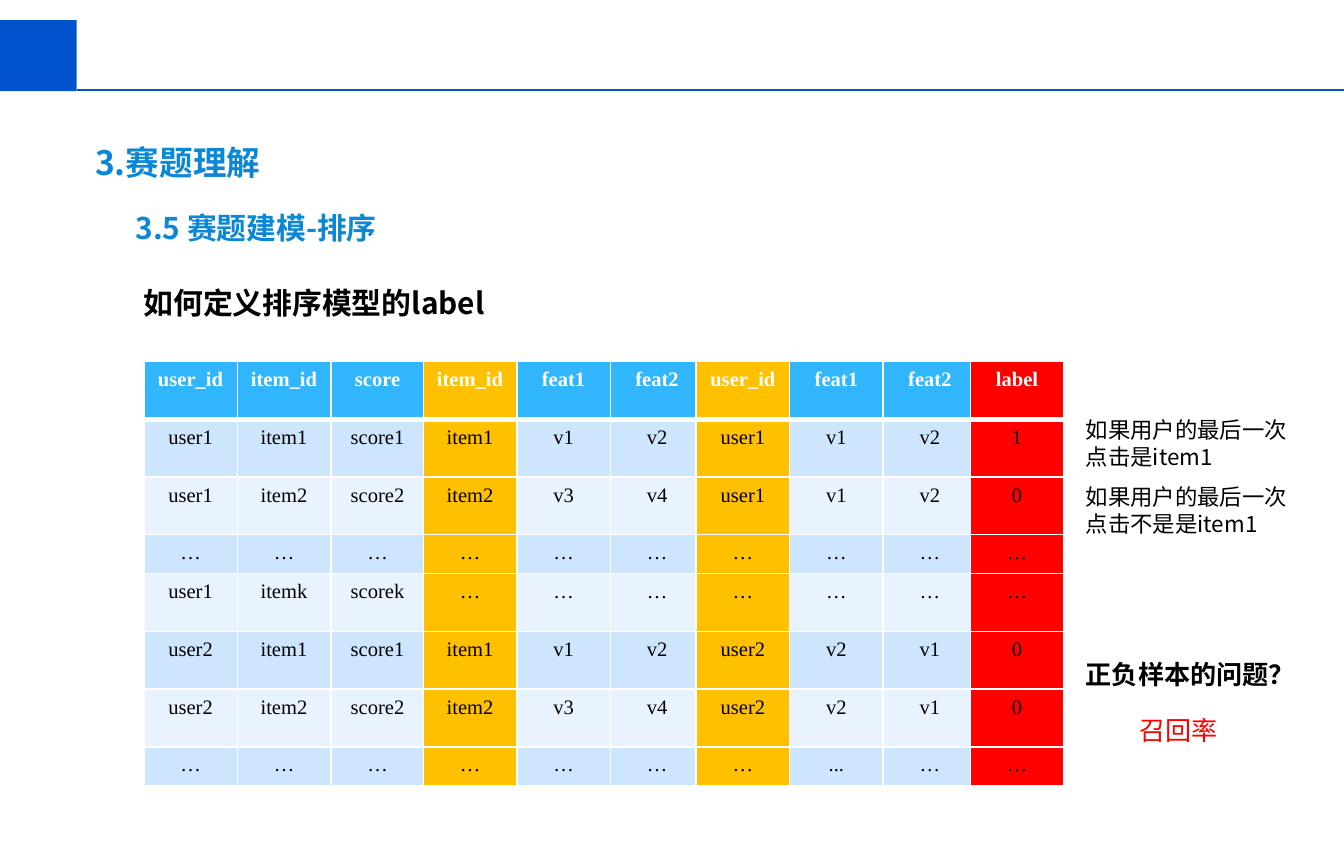
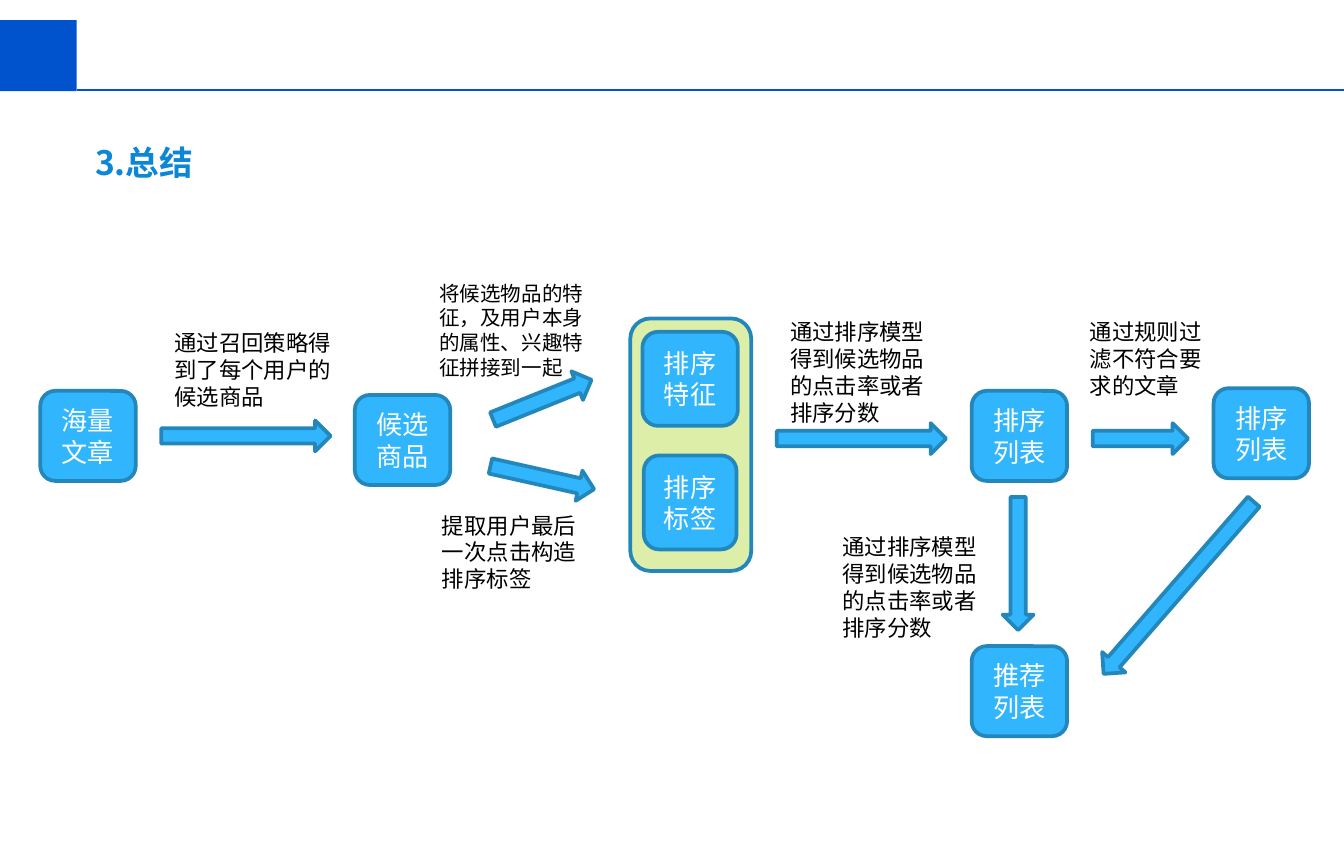
from typing import NamedTuple

from lxml import etree
from pptx import Presentation
from pptx.dml.color import RGBColor
from pptx.enum import shapes, text
from pptx.oxml.ns import qn
from pptx.util import Inches, Pt

# Slide grid: 100 columns by 62.6 rows of square units
COLS, ROWS = 100, 62.6
UNIT = Inches(10) / COLS
SANS, SERIF = "Noto Sans CJK SC", "Times New Roman"
HUES = {
    "band": "0053CC", "title": "0B87D6", "sky": "31B6FD", "edge": "2487BB",
    "lime": "DCEEA7", "amber": "FFC000", "red": "FF0000", "black": "000000",
    "white": "FFFFFF", "odd": "CEE5FE", "even": "E8F3FF",
}
RECT = shapes.MSO_SHAPE.RECTANGLE
ROUND = shapes.MSO_SHAPE.ROUNDED_RECTANGLE
ARROW = shapes.MSO_SHAPE.RIGHT_ARROW


class Box(NamedTuple):
    col: float
    row: float
    wide: float
    high: float


class Note(NamedTuple):
    words: str
    box: Box
    size: float = 12
    hue: str = "black"
    bold: bool = False


class Node(NamedTuple):
    words: str
    col: float
    row: float
    wide: float = 7.1
    high: float = 6.7


class Arrow(NamedTuple):
    col: float
    row: float
    wide: float
    turn: float = 0


def grid(*units: float) -> list[int]:
    return [round(unit * UNIT) for unit in units]


def rgb(hue: str) -> RGBColor:
    return RGBColor.from_string(HUES[hue])


def style(para, size: float, hue: str, bold: bool = False, face: str = SANS) -> None:
    for run in para.runs:
        font = run.font
        font.name, font.size, font.bold = face, Pt(size), bold
        font.color.rgb = rgb(hue)
        east = etree.SubElement(run._r.get_or_add_rPr(), qn("a:ea"))
        east.set("typeface", face)


# Basic parts
def draw(slide, kind, box: Box, fill: str, edge: str = ""):
    shape = slide.shapes.add_shape(kind, *grid(*box))
    shape.shadow.inherit = False
    shape.fill.solid()
    shape.fill.fore_color.rgb = rgb(fill)
    if edge:
        shape.line.color.rgb = rgb(edge)
        shape.line.width = Pt(2)
    else:
        shape.line.fill.background()
    return shape


def write(slide, note: Note) -> None:
    frame = slide.shapes.add_textbox(*grid(*note.box)).text_frame
    frame.word_wrap = True
    frame.auto_size = text.MSO_AUTO_SIZE.SHAPE_TO_FIT_TEXT
    frame.text = note.words
    style(frame.paragraphs[0], note.size, note.hue, note.bold)


def place(slide, node: Node) -> None:
    box = Box(node.col, node.row, node.wide, node.high)
    frame = draw(slide, ROUND, box, "sky", "edge").text_frame
    frame.word_wrap = True
    frame.vertical_anchor = text.MSO_ANCHOR.MIDDLE
    frame.text = node.words
    para = frame.paragraphs[0]
    para.alignment = text.PP_ALIGN.CENTER
    style(para, 14, "white")


def point(slide, arrow: Arrow) -> None:
    box = Box(arrow.col, arrow.row, arrow.wide, 2.3)
    draw(slide, ARROW, box, "sky", "edge").rotation = arrow.turn


# Shared band, rule and title
def start(deck, title: str):
    slide = deck.slides.add_slide(deck.slide_layouts[6])
    draw(slide, RECT, Box(0, 1.5, 5.7, 5.3), "band")
    rule = slide.shapes.add_connector(
        shapes.MSO_CONNECTOR.STRAIGHT, *grid(5.7, 6.7, COLS, 6.7))
    rule.line.color.rgb = rgb("band")
    rule.line.width = Pt(1)
    etree.SubElement(rule._element.spPr, qn("a:effectLst"))
    write(slide, Note(title, Box(6.1, 10.1, 36, 4), 18, "title", True))
    return slide


# Sample tables: first column on the grid, then the columns of data held
DATA = [line.split() for line in (
    "user_id item_id score item_id feat1 feat2 user_id feat1 feat2 label",
    "user1 item1 score1 item1 v1 v2 user1 v1 v2 1",
    "user1 item2 score2 item2 v3 v4 user1 v1 v2 0",
    "… … … … … … … … … …",
    "user1 itemk scorek … … … … … … …",
    "user2 item1 score1 item1 v1 v2 user2 v2 v1 0",
    "user2 item2 score2 item2 v3 v4 user2 v2 v1 0",
    "… … … … … … … ... … …",
)]
PARTS = [(10.7, range(0, 3)), (31.5, range(3, 6)), (51.8, range(6, 9)), (72.2, range(9, 10))]
MARKS = {3: "amber", 6: "amber", 9: "red"}
TALL, LOW, WIDE = 4.3, 2.9, 6.96
HEIGHTS = [LOW if line[0] == "…" else TALL for line in DATA]


def border(cell, head: bool) -> None:
    props = cell._tc.get_or_add_tcPr()
    for side in ("lnL", "lnR", "lnT", "lnB"):
        width = 3 if head and side == "lnB" else 1
        line = etree.SubElement(props, qn("a:" + side), w=str(Pt(width)))
        solid = etree.SubElement(line, qn("a:solidFill"))
        etree.SubElement(solid, qn("a:srgbClr"), val=HUES["white"])


def fill(cell, words: str, row: int, col: int) -> None:
    head = row == 0
    border(cell, head)
    plain = "sky" if head else "odd" if row % 2 else "even"
    cell.fill.solid()
    cell.fill.fore_color.rgb = rgb(MARKS.get(col, plain))
    cell.margin_left = cell.margin_right = Inches(0.05)
    cell.text = words
    para = cell.text_frame.paragraphs[0]
    para.alignment = text.PP_ALIGN.CENTER
    style(para, 11, "white" if head else "black", head, SERIF)


def table(slide, left: float, span: range) -> None:
    box = Box(left, 26.9, WIDE * len(span), sum(HEIGHTS))
    made = slide.shapes.add_table(len(DATA), len(span), *grid(*box)).table
    for col in made.columns:
        col.width = grid(WIDE)[0]
    for row, high in enumerate(HEIGHTS):
        made.rows[row].height = grid(high)[0]
        for spot, col in enumerate(span):
            fill(made.cell(row, spot), DATA[row][col], row, col)


LABELS = [
    Note("3.5 赛题建模-排序", Box(9.1, 15.1, 36, 3.7), 16, "title", True),
    Note("如何定义排序模型的label", Box(9.7, 20.7, 29, 3.7), 16, bold=True),
    Note("如果用户的最后一次点击是item1", Box(79.8, 30.5, 17.9, 5)),
    Note("如果用户的最后一次点击不是是item1", Box(79.8, 35.5, 17.9, 5)),
    Note("正负样本的问题？", Box(79.8, 48.5, 16.6, 3.4), 14, bold=True),
    Note("召回率", Box(83.8, 52.7, 8.6, 3.4), 14, "red"),
]

# Flow from articles to the final list
NODES = [
    Node("海量文章", 3, 29.1),
    Node("候选商品", 26.4, 29.4),
    Node("排序特征", 47.8, 24.7, high=7),
    Node("排序标签", 47.9, 33.9, 6.9, 7),
    Node("排序列表", 72.3, 29.1),
    Node("排序列表", 90.3, 28.9),
    Node("推荐列表", 72.3, 48.1),
]
ARROWS = [
    Arrow(12, 31.3, 12.6),
    Arrow(36.4, 28.6, 7.9, 338),
    Arrow(36.4, 34.4, 7.9, 12.6),
    Arrow(57.8, 31.5, 12.6),
    Arrow(70.8, 40.8, 9.9, 90),
    Arrow(81.3, 31.5, 7.1),
    Arrow(79.2, 42.6, 17, 131.1),
]
SCORE = "通过排序模型得到候选物品的点击率或者排序分数"
STEPS = [
    Note("通过召回策略得到了每个用户的候选商品", Box(12, 24, 14.3, 7.1)),
    Note("将候选物品的特征，及用户本身的属性、兴趣特征拼接到一起",
         Box(31.7, 20.4, 12.8, 8.4), 11),
    Note("提取用户最后一次点击构造排序标签", Box(31.9, 37.6, 12.8, 7.1)),
    Note(SCORE, Box(57.8, 23.2, 12.8, 9.1)),
    Note(SCORE, Box(61.7, 39.2, 12.8, 9.1)),
    Note("通过规则过滤不符合要求的文章", Box(80.1, 23.2, 10.5, 7.1)),
]


def rank(deck) -> None:
    slide = start(deck, "3.赛题理解")
    for left, span in PARTS:
        table(slide, left, span)
    for note in LABELS:
        write(slide, note)


def flow(deck) -> None:
    slide = start(deck, "3.总结")
    draw(slide, ROUND, Box(46.9, 23.7, 9, 18.8), "lime", "edge")
    for node in NODES:
        place(slide, node)
    for arrow in ARROWS:
        point(slide, arrow)
    for note in STEPS:
        write(slide, note)


def main() -> None:
    deck = Presentation()
    deck.slide_width, deck.slide_height = grid(COLS, ROWS)
    rank(deck)
    flow(deck)
    deck.save("out.pptx")


if __name__ == "__main__":
    main()
